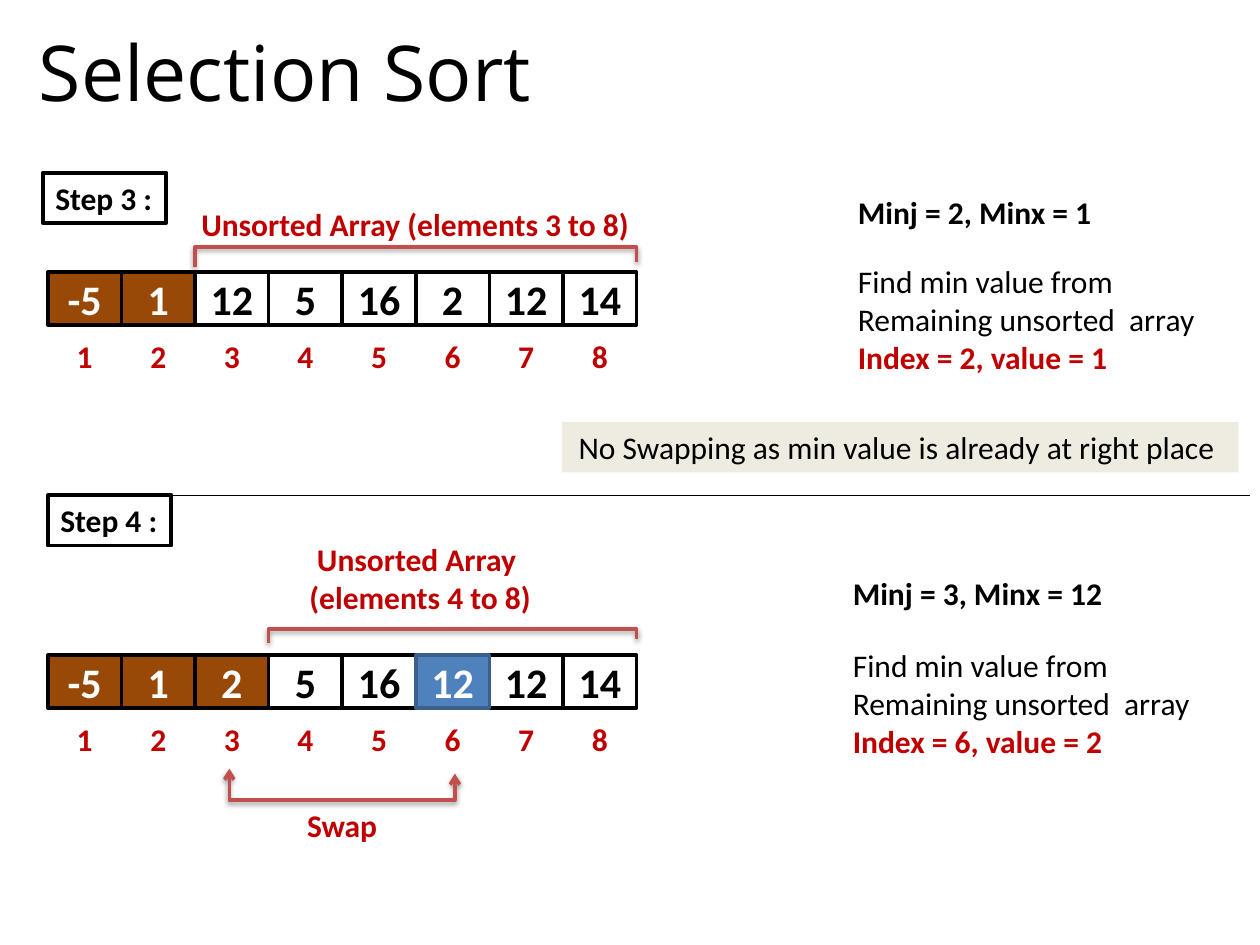
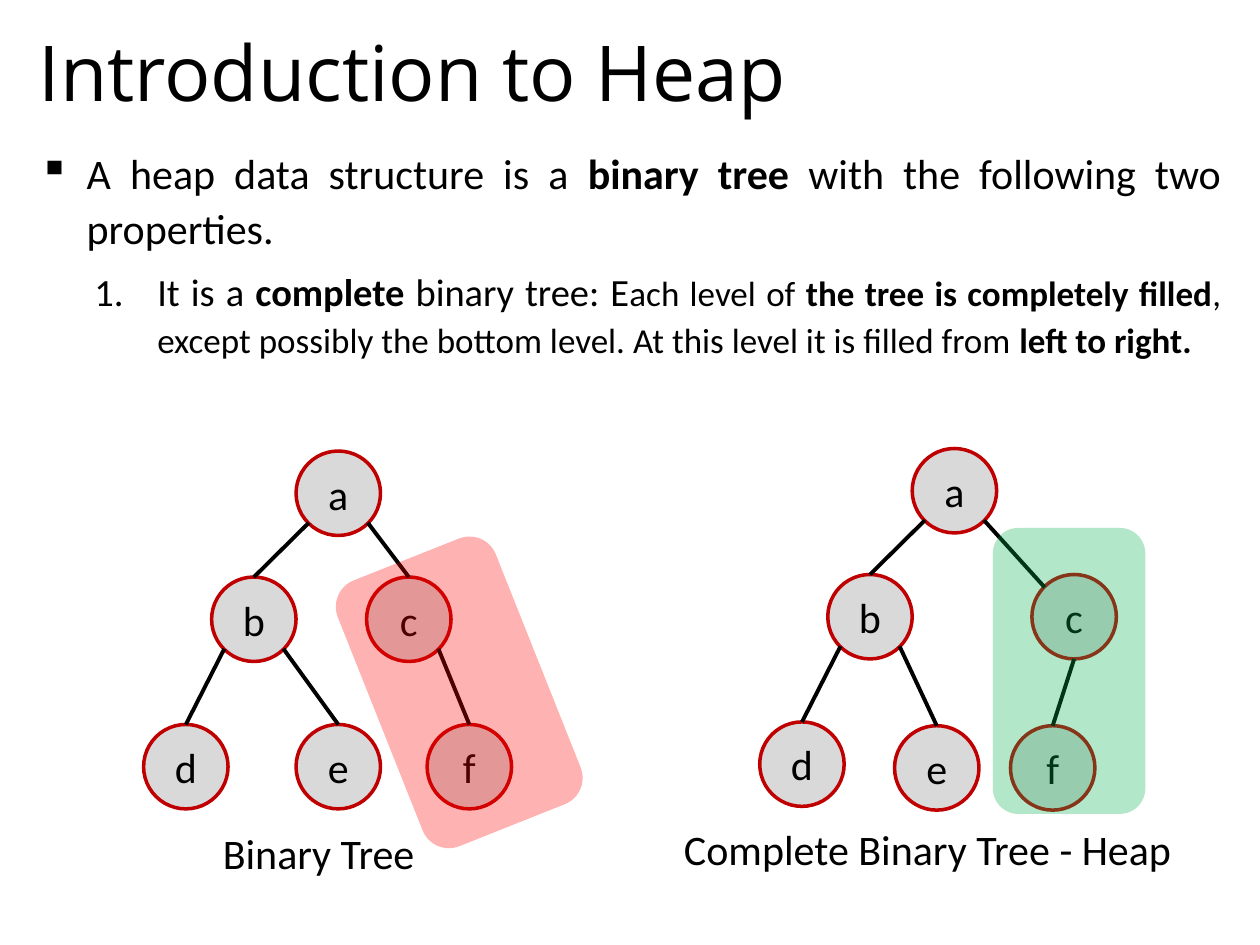
from lxml import etree
from pptx import Presentation
from pptx.dml.color import RGBColor
from pptx.enum.shapes import MSO_CONNECTOR, MSO_SHAPE
from pptx.enum.text import MSO_ANCHOR, MSO_AUTO_SIZE, PP_ALIGN
from pptx.oxml.ns import qn
from pptx.util import Inches, Pt

RECT, OVAL, ROUNDED = MSO_SHAPE.RECTANGLE, MSO_SHAPE.OVAL, MSO_SHAPE.ROUNDED_RECTANGLE
STRAIGHT = MSO_CONNECTOR.STRAIGHT
LEFT, CENTER, JUSTIFY = PP_ALIGN.LEFT, PP_ALIGN.CENTER, PP_ALIGN.JUSTIFY
TOP, MIDDLE = MSO_ANCHOR.TOP, MSO_ANCHOR.MIDDLE

COLORS = {
    "black": "000000", "white": "FFFFFF", "red": "C00000", "sorted": "984807",
    "swapped": "4F81BD", "swapped_edge": "3A5F8C", "bracket": "C0504D",
    "note": "EEECE1", "node": "D9D9D9", "wrong": "FF0000", "right": "00B050",
}
RGB = {name: RGBColor.from_string(code) for name, code in COLORS.items()}
BODY_FONT, TITLE_FONT = "Calibri", "Open Sans"

# The slide is a grid of 100 columns by 75 rows
UNIT = Inches(0.1)
COLUMNS, ROWS = 100, 75


def add_box(page, kind, place, fill=None, line=None, weight=2):
    """Add a preset shape, or a text box when kind is None."""
    place = [round(value * UNIT) for value in place]
    if kind is None:
        return page.shapes.add_textbox(*place)
    box = page.shapes.add_shape(kind, *place)
    box.shadow.inherit = False
    if fill:
        box.fill.solid()
        box.fill.fore_color.rgb = RGB[fill]
    else:
        box.fill.background()
    if line:
        box.line.color.rgb = RGB[line]
        box.line.width = Pt(weight)
    else:
        box.line.fill.background()
    return box


def write(box, text, size=18, color="black", bold=False, align=LEFT,
          anchor=TOP, wrap=True, font=BODY_FONT):
    """Set the text of a box and format every run alike."""
    frame = box.text_frame
    frame.text = text
    frame.word_wrap = wrap
    frame.vertical_anchor = anchor
    frame.auto_size = MSO_AUTO_SIZE.NONE if anchor == MIDDLE else MSO_AUTO_SIZE.SHAPE_TO_FIT_TEXT
    for para in frame.paragraphs:
        para.alignment = align
        for span in para.runs:
            span.font.name, span.font.size, span.font.bold = font, Pt(size), bold
            span.font.color.rgb = RGB[color]


deck = Presentation()
deck.slide_width, deck.slide_height = COLUMNS * UNIT, ROWS * UNIT
pages = []
for title in ("Selection Sort", "Introduction to Heap"):
    page = deck.slides.add_slide(deck.slide_layouts[6])
    box = add_box(page, None, (2.1, 1.2, 95.8, 8.8))
    write(box, title, 44, anchor=MIDDLE, font=TITLE_FONT)
    pages.append(page)
sort_page, heap_page = pages

# Selection sort: two steps, each an array with indexes and notes
ARRAY_LEFT, CELL_WIDTH, CELL_HEIGHT, INDEX_DROP = 3.8, 5.84, 4.2, 4.55
steps = [
    dict(name="Step 3 :", tag=(3.4, 13.7), row=21.6, values=[-5, 1, 12, 5, 16, 2, 12, 14],
         sorted=2, swapped=None, label="Unsorted Array (elements 3 to 8)",
         label_place=(14.2, 15.8, 37.5, 4), notes_left=67.1, minimum="Minj = 2, Minx = 1",
         minimum_top=14.8, find_top=20.3, found="Index = 2, value = 1"),
    dict(name="Step 4 :", tag=(3.8, 39.3), row=52, values=[-5, 1, 2, 5, 16, 12, 12, 14],
         sorted=3, swapped=5, label="Unsorted Array \n(elements 4 to 8)",
         label_place=(14.6, 42.4, 37.5, 7.1), notes_left=66.7, minimum="Minj = 3, Minx = 12",
         minimum_top=45.1, find_top=50.8, found="Index = 6, value = 2"),
]
array_right = ARRAY_LEFT + 8 * CELL_WIDTH
brackets = []  # (points, has arrowheads)

divider = sort_page.shapes.add_connector(
    STRAIGHT, *[round(value * UNIT) for value in (3.8, 39.3, 99.2, 39.3)])
divider.line.color.rgb, divider.line.width = RGB["black"], Pt(0.75)
etree.SubElement(divider._element.spPr, qn("a:effectLst"))

for step in steps:
    tag = add_box(sort_page, RECT, (*step["tag"], 9.8, 4), line="black", weight=2.25)
    write(tag, step["name"], bold=True, wrap=False)

    # The swapped cell comes last so that its edge stays on top
    for index in sorted(range(8), key=lambda index: index == step["swapped"]):
        left = ARRAY_LEFT + index * CELL_WIDTH
        fill, edge, ink = "white", "black", "black"
        if index < step["sorted"]:
            fill, ink = "sorted", "white"
        elif index == step["swapped"]:
            fill, edge, ink = "swapped", "swapped_edge", "white"
        cell = add_box(sort_page, RECT, (left, step["row"], CELL_WIDTH, CELL_HEIGHT), fill, edge)
        write(cell, str(step["values"][index]), 24, ink, True, CENTER, MIDDLE)
        number = add_box(sort_page, RECT,
                         (left, step["row"] + INDEX_DROP, CELL_WIDTH, CELL_HEIGHT), "white")
        write(number, str(index + 1), 18, "red", True, CENTER, MIDDLE)

    label = add_box(sort_page, None, step["label_place"])
    write(label, step["label"], color="red", bold=True, align=CENTER)
    minimum = add_box(sort_page, None, (step["notes_left"], step["minimum_top"], 22, 4))
    write(minimum, step["minimum"], bold=True, wrap=False)
    find = add_box(sort_page, None, (step["notes_left"], step["find_top"], 29.1, 10.1))
    write(find, "Find min value from\nRemaining unsorted  array\n" + step["found"], wrap=False)
    found = find.text_frame.paragraphs[2].runs[0]
    found.font.bold, found.font.color.rgb = True, RGB["red"]

    start = ARRAY_LEFT + step["sorted"] * CELL_WIDTH
    rise = step["row"] - (2 if step["sorted"] == 2 else 2.1)
    drops = (1.6, 1.2) if step["sorted"] == 2 else (1.1, 0.8)
    brackets.append(([(start, rise + drops[0]), (start, rise),
                      (array_right, rise), (array_right, rise + drops[1])], False))

note = add_box(sort_page, RECT, (44.6, 33.5, 53.7, 4), "note")
write(note, "No Swapping as min value is already at right place ", align=CENTER, wrap=False)
swap = add_box(sort_page, None, (22.2, 63.5, 9.9, 4))
write(swap, "Swap", color="red", bold=True, align=CENTER)
brackets.append(([(18.2, 61), (18.2, 63.5), (36.1, 63.5), (36.1, 61.4)], True))

# Brackets over the unsorted parts, and the swap arrow
for points, has_arrows in brackets:
    points = [(round(x * UNIT), round(y * UNIT)) for x, y in points]
    builder = sort_page.shapes.build_freeform(*points[0])
    builder.add_line_segments(points[1:], close=False)
    bracket = builder.convert_to_shape()
    bracket.fill.background()
    bracket.line.color.rgb, bracket.line.width = RGB["bracket"], Pt(2)
    if has_arrows:
        for end in ("a:headEnd", "a:tailEnd"):
            etree.SubElement(bracket.line._get_or_add_ln(), qn(end), type="arrow")
    bracket.shadow.inherit = False
    effects = bracket._element.spPr.find(qn("a:effectLst"))
    shadow = etree.SubElement(effects, qn("a:outerShdw"), blurRad=str(Pt(3.1)),
                              dist=str(Pt(1.6)), dir="5400000", rotWithShape="0")
    shade = etree.SubElement(shadow, qn("a:srgbClr"), val=COLORS["black"])
    etree.SubElement(shade, qn("a:alpha"), val="38000")

# Heap: definition, one list of (text, size, bold) per paragraph
definition = [
    (0.38, -0.38, "a:buChar", {"char": "▪"}, [
        ("A heap data structure is a ", 24, False), ("binary tree ", 24, True),
        ("with the following two properties.", 24, False)]),
    (0.94, -0.5, "a:buAutoNum", {"type": "arabicPeriod"}, [
        ("It is a ", 22, False), ("complete", 22, True), (" binary tree: E", 22, False),
        ("ach level of ", 20, False), ("the tree is completely filled", 20, True),
        (", except possibly the bottom level. At this level it is filled from ", 20, False),
        ("left to right.", 20, True)]),
]
body = add_box(heap_page, None, (2.1, 10.8, 95.8, 58.3)).text_frame
body.word_wrap = True
for row, (margin, indent, bullet, settings, spans) in enumerate(definition):
    para = body.add_paragraph() if row else body.paragraphs[0]
    para.alignment, para.line_spacing, para.space_after = JUSTIFY, 1.1, Pt(6)
    properties = para._p.get_or_add_pPr()
    properties.set("marL", str(Inches(margin)))
    properties.set("indent", str(Inches(indent)))
    etree.SubElement(properties, qn(bullet), settings)
    for text, size, bold in spans:
        span = para.add_run()
        span.text = text
        span.font.name, span.font.size, span.font.bold = BODY_FONT, Pt(size), bold
        span.font.color.rgb = RGB["black"]

# Heap: two trees, with edges between points given as shares of a node
NODE = 6.7
SITES = {"top": (0.5, 0), "bottom": (0.5, 1), "upper left": (0.15, 0.15),
         "lower left": (0.15, 0.85), "lower right": (0.85, 0.85)}
trees = [
    dict(nodes={"a": (23.5, 35.8), "b": (16.8, 45.8), "c": (29.1, 45.8),
                "d": (11.4, 57.5), "e": (23.5, 57.5), "f": (33.9, 57.5)},
         c_site="top", f_from="lower right", caption="Binary Tree",
         caption_place=(16.7, 65.2, 18.7, 5),
         highlight=(29.7, 43.6, 13.5, 22.7), tilt=338.3, color="wrong"),
    dict(nodes={"a": (72.4, 35.6), "b": (65.7, 45.6), "c": (81.9, 45.6),
                "d": (60.3, 57.3), "e": (71, 57.6), "f": (80.2, 57.6)},
         c_site="upper left", f_from="bottom", caption="Complete Binary Tree - Heap",
         caption_place=(53.3, 64.9, 41.7, 5),
         highlight=(78.8, 41.9, 12.1, 22.7), tilt=0, color="right"),
]
for tree in trees:
    circles = {}
    for letter, (left, top) in tree["nodes"].items():
        circles[letter] = add_box(heap_page, OVAL, (left, top, NODE, NODE), "node", "red")
        write(circles[letter], letter, 24, align=CENTER, anchor=MIDDLE)

    edges = [("a", "lower left", "b", "top"), ("a", "lower right", "c", tree["c_site"]),
             ("b", "lower left", "d", "top"), ("b", "lower right", "e", "top"),
             ("c", tree["f_from"], "f", "top")]
    for parent, leave, child, arrive in edges:
        ends = [round((corner + share * NODE) * UNIT)
                for letter, site in ((parent, leave), (child, arrive))
                for corner, share in zip(tree["nodes"][letter], SITES[site])]
        edge = heap_page.shapes.add_connector(STRAIGHT, *ends)
        if arrive == "top":
            edge.end_connect(circles[child], 0)
        edge.line.color.rgb, edge.line.width = RGB["black"], Pt(2.25)
        etree.SubElement(edge._element.spPr, qn("a:effectLst"))

    caption = add_box(heap_page, None, tree["caption_place"])
    write(caption, tree["caption"], 24)

# Translucent highlights lie over both trees
for tree in trees:
    highlight = add_box(heap_page, ROUNDED, tree["highlight"], tree["color"])
    highlight.rotation = tree["tilt"]
    tint = highlight._element.spPr.find(qn("a:solidFill")).find(qn("a:srgbClr"))
    etree.SubElement(tint, qn("a:alpha"), val="30000")

deck.save("out.pptx")
